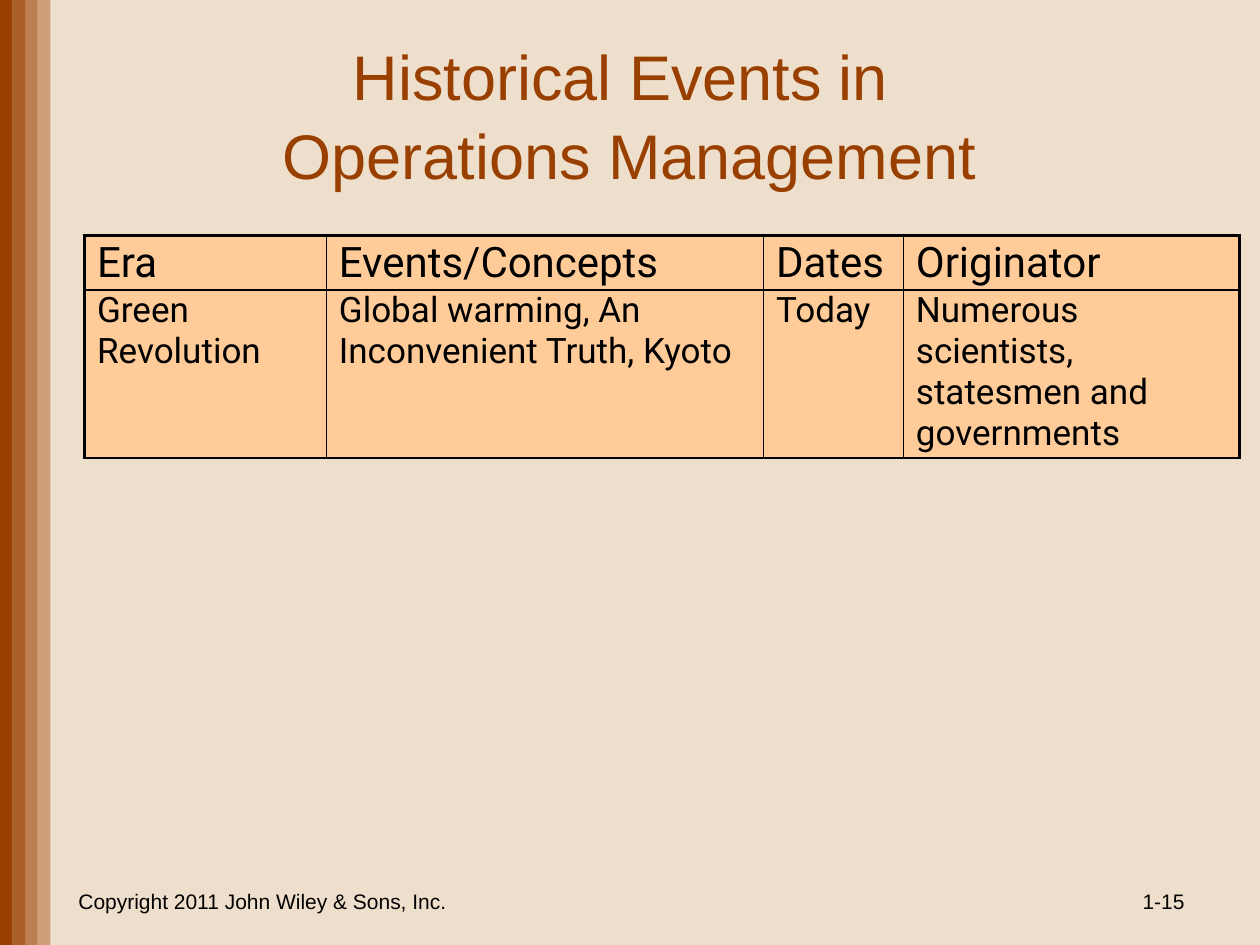
from lxml.etree import SubElement
from pptx import Presentation
from pptx.dml.color import RGBColor
from pptx.enum.shapes import MSO_SHAPE
from pptx.enum.text import MSO_ANCHOR, PP_ALIGN
from pptx.oxml.ns import qn
from pptx.util import Inches, Pt

CREAM = RGBColor(0xEE, 0xDF, 0xCC)
RUST = RGBColor(0x99, 0x40, 0x00)
PEACH = RGBColor(0xFF, 0xCC, 0x99)
BLACK = RGBColor(0, 0, 0)

COLUMN_WIDTHS = [1.92, 3.47, 1.11, 2.67]
ROW_HEIGHTS = [0.43, 1.3]
EVENTS = [
    ["Era", "Events/Concepts", "Dates", "Originator"],
    ["Green Revolution", "Global warming, An Inconvenient Truth, Kyoto", "Today",
     "Numerous scientists, statesmen and governments"],
]


def write(tf, text, size=12, font="Arial", color=BLACK, align=PP_ALIGN.LEFT,
          anchor=MSO_ANCHOR.MIDDLE, spacing=None):
    tf.word_wrap = True
    tf.vertical_anchor = anchor
    p = tf.paragraphs[0]
    p.text = text
    p.alignment = align
    p.line_spacing = spacing
    for r in p.runs:
        r.font.size = Pt(size)
        r.font.name = font
        r.font.color.rgb = color


def add_text(slide, left, top, width, height, text, **fmt):
    box = slide.shapes.add_textbox(Inches(left), Inches(top), Inches(width), Inches(height))
    write(box.text_frame, text, **fmt)


def add_stripe(slide, left, opacity):
    sp = slide.shapes.add_shape(MSO_SHAPE.RECTANGLE, Inches(left), 0, Inches(0.1), Inches(7.5))
    sp.shadow.inherit = False
    sp.line.fill.background()
    sp.fill.solid()
    sp.fill.fore_color.rgb = RUST
    if opacity < 100:
        color = sp.fill._xPr.find(".//" + qn("a:srgbClr"))
        SubElement(color, qn("a:alpha"), val=str(opacity * 1000))


def set_borders(cell, **widths):
    tcPr = cell._tc.get_or_add_tcPr()
    for i, (side, width) in enumerate(widths.items()):
        ln = SubElement(tcPr, qn(f"a:ln{side}"), w=str(Pt(width)))
        fill = SubElement(ln, qn("a:solidFill"))
        SubElement(fill, qn("a:srgbClr"), val=str(BLACK))
        tcPr.insert(i, ln)


def add_events_table(slide, left, top):
    rows, cols = len(ROW_HEIGHTS), len(COLUMN_WIDTHS)
    table = slide.shapes.add_table(rows, cols, Inches(left), Inches(top),
                                   Inches(sum(COLUMN_WIDTHS)), Inches(sum(ROW_HEIGHTS))).table
    for column, width in zip(table.columns, COLUMN_WIDTHS):
        column.width = Inches(width)
    for i, height in enumerate(ROW_HEIGHTS):
        table.rows[i].height = Inches(height)
        for j, text in enumerate(EVENTS[i]):
            cell = table.cell(i, j)
            cell.margin_left, cell.margin_right = Inches(0.1), Inches(0.05)
            cell.margin_top = cell.margin_bottom = 0
            cell.vertical_anchor = MSO_ANCHOR.TOP if i else MSO_ANCHOR.MIDDLE
            cell.fill.solid()
            cell.fill.fore_color.rgb = PEACH
            write(cell.text_frame, text, size=20 if i else 24, font="Roboto", anchor=None)
            set_borders(cell, L=1 if j else 2.25, R=2.25 if j == cols - 1 else 1,
                        T=1 if i else 2.25, B=1)


def main():
    """Build the slide on historical events in operations management."""
    prs = Presentation()
    prs.slide_width, prs.slide_height = Inches(10), Inches(7.5)
    slide = prs.slides.add_slide(prs.slide_layouts[6])
    slide.background.fill.solid()
    slide.background.fill.fore_color.rgb = CREAM
    for i in range(4):
        add_stripe(slide, i * 0.1, 100 - 20 * i)
    add_text(slide, 1.08, 0.27, 7.83, 1.25, "Historical Events in \vOperations Management",
             size=36, color=RUST, align=PP_ALIGN.CENTER, spacing=1.05)
    add_events_table(slide, 0.67, 1.87)
    add_text(slide, 0.5, 6.95, 3.17, 0.4, "Copyright 2011 John Wiley & Sons, Inc.",
             align=PP_ALIGN.CENTER)
    add_text(slide, 7.17, 6.95, 2.33, 0.4, "1-15", align=PP_ALIGN.RIGHT)
    prs.save("out.pptx")


if __name__ == "__main__":
    main()
